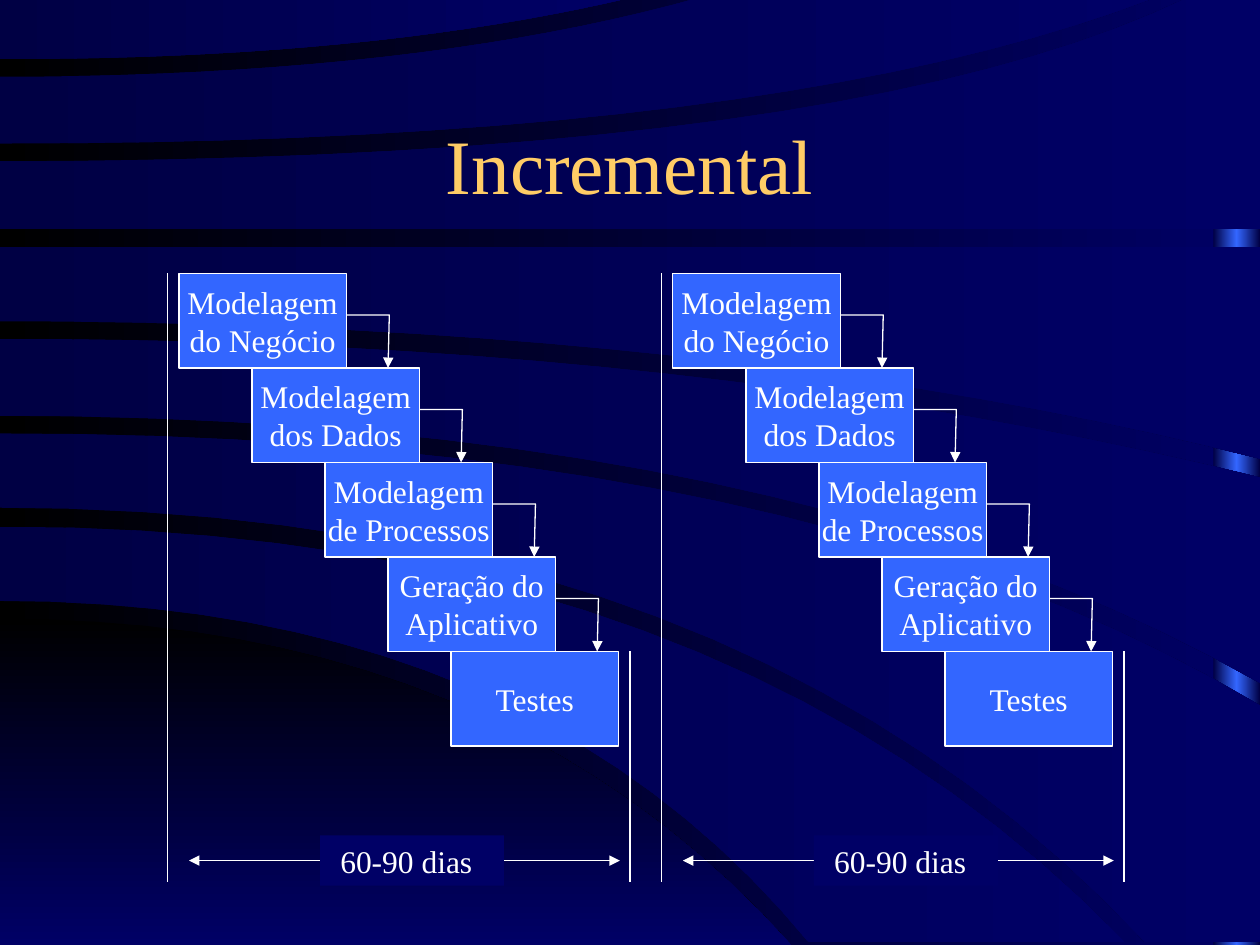
from copy import deepcopy

from pptx import Presentation
from pptx.dml.color import RGBColor
from pptx.enum.shapes import MSO_CONNECTOR, MSO_SHAPE
from pptx.enum.text import MSO_ANCHOR, PP_ALIGN
from pptx.oxml.ns import qn
from pptx.oxml.xmlchemy import OxmlElement
from pptx.util import Inches, Pt

RECTANGLE = MSO_SHAPE.RECTANGLE
STRAIGHT = MSO_CONNECTOR.STRAIGHT
MIDDLE, TOP = MSO_ANCHOR.MIDDLE, MSO_ANCHOR.TOP
CENTER, LEFT = PP_ALIGN.CENTER, PP_ALIGN.LEFT

BLACK = RGBColor(0x00, 0x00, 0x00)
NAVY = RGBColor(0x00, 0x00, 0x66)
DEEP_NAVY = RGBColor(0x00, 0x00, 0x44)
BLUE = RGBColor(0x33, 0x66, 0xFF)
WHITE = RGBColor(0xFF, 0xFF, 0xFF)
GOLD = RGBColor(0xFF, 0xCC, 0x66)

FONT = "Times New Roman"
TITLE_FONT = {"name": FONT, "size": Pt(44)}
BODY_FONT = {"name": FONT, "size": Pt(18)}
STAGE_FRAME = {"word_wrap": False, "vertical_anchor": MIDDLE}
LABEL_FRAME = {"word_wrap": True, "vertical_anchor": TOP}

STAGES = [
    (0.09, ["Modelagem", "do Negócio"]),
    (0.67, ["Modelagem", "dos Dados"]),
    (1.25, ["Modelagem", "de Processos"]),
    (1.75, ["Geração do", "Aplicativo"]),
    (2.25, ["Testes"]),
]
STAGE_WIDTH, STAGE_HEIGHT = 1.33, 0.75
INCREMENT_TOP = 2.17
INCREMENT_LEFTS = [1.33, 5.25]

CURVE_STEPS = 20
FLOOR = ((4.91, 3.96, 6.28, 7.5), (7.5, 3, 6.28, 7.5))
BANDS = [
    ((4.18, 5.74, 8.93, 7.48), (4.77, 4.19, 6.42, 7.48)),
    ((3.44, 6.4, 10, 5.6), (4.03, 5.88, 9.09, 7.48)),
    ((2.69, 5.54, 10, 3.79), (3.3, 6.28, 10, 5.42)),
    ((1.96, 5, 10, 1.96), (2.55, 5.7, 10, 3.64)),
    ((1.28, 6.74, 9.43, -0.02), (1.82, 5, 10, 1.82)),
    ((0.61, 3.32, 5.56, -0.02), (1.14, 6.16, 9.17, -0.02)),
    ((-0.02, 3, 5.01, -0.02), (0.47, 2.94, 5.01, -0.02)),
]


def set_attributes(target, values):
    """Set every named value on the target."""
    for name, value in values.items():
        setattr(target, name, value)


def set_gradient(fill, start, end, angle=0):
    """Fill with two colours along a counterclockwise angle."""
    fill.gradient()
    fill.gradient_angle = angle
    for stop, color, position in zip(fill.gradient_stops, (start, end), (0, 1)):
        stop.color.rgb = color
        stop.position = position


def set_line(item, ends=()):
    """Draw a thin white line with triangles at the given ends."""
    item.line.color.rgb = WHITE
    item.line.width = Pt(0.75)
    for end in ends:
        arrowhead = OxmlElement(end)
        arrowhead.set("type", "triangle")
        item.line._get_or_add_ln().append(arrowhead)


def write(frame, lines, font, color, align):
    """Write one paragraph for each line."""
    for index, line in enumerate(lines):
        paragraph = frame.add_paragraph() if index else frame.paragraphs[0]
        paragraph.alignment = align
        run = paragraph.add_run()
        run.text = line
        set_attributes(run.font, font)
        run.font.color.rgb = color


def add_rectangle(slide, left, top, width, height):
    """Add a rectangle without shadow or line."""
    rectangle = slide.shapes.add_shape(
        RECTANGLE, Inches(left), Inches(top), Inches(width), Inches(height))
    rectangle.shadow.inherit = False
    rectangle.line.fill.background()
    return rectangle


def add_outline(slide, points, close=True):
    """Add a freeform through the points."""
    corners = [(Inches(x), Inches(y)) for x, y in points]
    builder = slide.shapes.build_freeform(*corners[0])
    builder.add_line_segments(corners[1:], close=close)
    outline = builder.convert_to_shape()
    outline.shadow.inherit = False
    outline.line.fill.background()
    return outline


def add_rule(slide, x1, y1, x2, y2, ends=()):
    """Add a straight white line."""
    rule = slide.shapes.add_connector(
        STRAIGHT, Inches(x1), Inches(y1), Inches(x2), Inches(y2))
    set_line(rule, ends)
    rule._element.spPr.append(OxmlElement("a:effectLst"))


def curve(start_y, bend_x, end_x, end_y):
    """Return points on a curve that leaves the left edge level."""
    points = []
    for step in range(CURVE_STEPS + 1):
        t = step / CURVE_STEPS
        points.append((2 * t * (1 - t) * bend_x + t * t * end_x,
                       start_y + t * t * (end_y - start_y)))
    return points


def add_band(slide, upper, lower):
    """Add the area between two curves, squared off at its far corner."""
    upper_points, lower_points = curve(*upper), curve(*lower)
    near, far = sorted([upper_points[-1], lower_points[-1]])
    return add_outline(
        slide, upper_points + [(far[0], near[1])] + lower_points[::-1])


def add_backdrop(slide):
    """Paint the background, the glowing edge and the curved bands."""
    set_gradient(slide.background.fill, BLACK, NAVY)
    glow = add_rectangle(slide, 9.63, 0, 0.37, 7.5)
    set_gradient(glow.fill, DEEP_NAVY, BLUE)
    stops = glow._element.spPr.find(qn("a:gradFill")).find(qn("a:gsLst"))
    stops.append(deepcopy(stops[0]))
    stops[1].set("pos", "50000")
    stops[2].set("pos", "100000")
    set_gradient(add_band(slide, *FLOOR).fill, BLACK, NAVY, 270)
    for band in BANDS:
        set_gradient(add_band(slide, *band).fill, DEEP_NAVY, NAVY)


def add_title(slide, left, top, width, height):
    """Write the centred title in its box."""
    title = slide.shapes.add_textbox(
        Inches(left), Inches(top), Inches(width), Inches(height))
    set_attributes(title.text_frame, {"word_wrap": True, "vertical_anchor": MIDDLE})
    write(title.text_frame, ["Incremental"], TITLE_FONT, GOLD, CENTER)


def add_increment(slide, left, top):
    """Draw one cascade of stages with its time span."""
    for index, (offset, lines) in enumerate(STAGES):
        x, y = left + offset, top + index * STAGE_HEIGHT
        stage = add_rectangle(slide, x, y, STAGE_WIDTH, STAGE_HEIGHT)
        stage.fill.solid()
        stage.fill.fore_color.rgb = BLUE
        set_line(stage)
        set_attributes(stage.text_frame, STAGE_FRAME)
        write(stage.text_frame, lines, BODY_FONT, WHITE, CENTER)
    for index, (offset, _) in enumerate(STAGES[:-1]):
        x, y = left + offset + STAGE_WIDTH, top + index * STAGE_HEIGHT + 0.33
        step = add_outline(slide, [(x, y), (x + 0.34, y), (x + 0.33, y + 0.42)], False)
        step.fill.background()
        set_line(step, ["a:tailEnd"])
    bottom = top + 4.83
    add_rule(slide, left, top, left, bottom)
    add_rule(slide, left + 3.67, top + 3, left + 3.67, bottom)
    add_rule(slide, left + 0.17, top + 4.66, left + 3.59, top + 4.66,
             ["a:headEnd", "a:tailEnd"])
    duration = add_rectangle(slide, left + 1.21, top + 4.46, 1.46, 0.4)
    duration.fill.solid()
    duration.fill.fore_color.rgb = NAVY
    set_attributes(duration.text_frame, LABEL_FRAME)
    write(duration.text_frame, [" 60-90 dias "], BODY_FONT, WHITE, LEFT)


presentation = Presentation()
set_attributes(presentation, {"slide_width": Inches(10), "slide_height": Inches(7.5)})
incremental = presentation.slides.add_slide(presentation.slide_layouts[6])
add_backdrop(incremental)
add_title(incremental, 0.75, 0.67, 8.5, 1.25)
for increment_left in INCREMENT_LEFTS:
    add_increment(incremental, increment_left, INCREMENT_TOP)
presentation.save("out.pptx")
